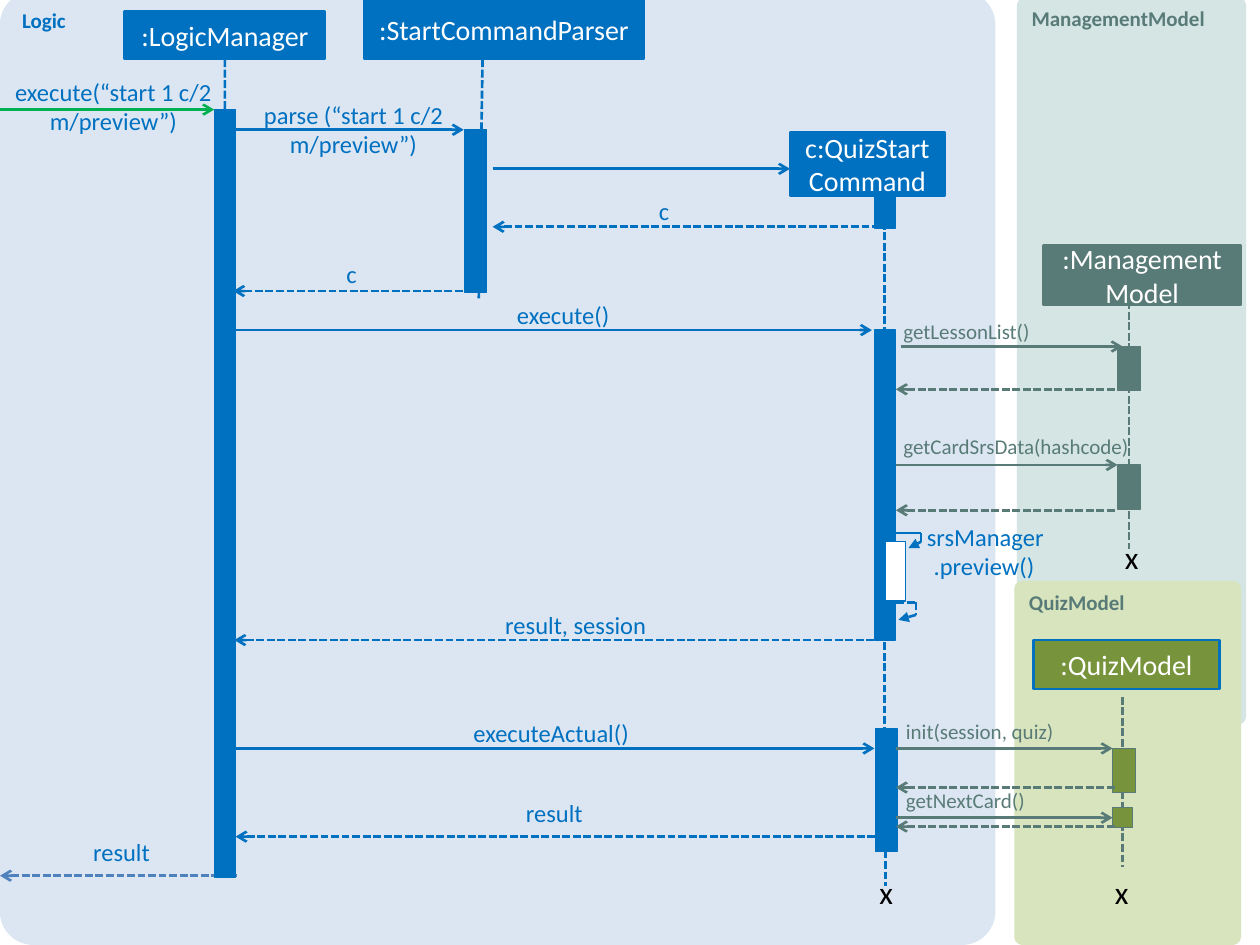
from typing import NamedTuple

from lxml import etree
from pptx import Presentation
from pptx.dml.color import RGBColor
from pptx.enum.dml import MSO_LINE
from pptx.enum.shapes import MSO_CONNECTOR, MSO_SHAPE
from pptx.enum.text import MSO_ANCHOR, PP_ALIGN
from pptx.oxml.ns import qn
from pptx.util import Cm, Length, Pt

RECT, ROUNDED = MSO_SHAPE.RECTANGLE, MSO_SHAPE.ROUNDED_RECTANGLE
STRAIGHT, DASH = MSO_CONNECTOR.STRAIGHT, MSO_LINE.SQUARE_DOT
LEFT, CENTER = PP_ALIGN.LEFT, PP_ALIGN.CENTER
TOP, MIDDLE = MSO_ANCHOR.TOP, MSO_ANCHOR.MIDDLE
LEFT_SIDE, BOTTOM_SIDE = 1, 2

BLUE = RGBColor(0x00, 0x70, 0xC0)
RETURN_BLUE = RGBColor(0x4F, 0x81, 0xBD)
CALL_GREEN = RGBColor(0x00, 0xB0, 0x50)
TEAL = RGBColor(0x59, 0x7B, 0x78)
OLIVE = RGBColor(0x77, 0x93, 0x3C)
PALE_BLUE = RGBColor(0xDC, 0xE6, 0xF2)
PALE_TEAL = RGBColor(0xD4, 0xE5, 0xE4)
PALE_OLIVE = RGBColor(0xD7, 0xE4, 0xBD)
WHITE = RGBColor(0xFF, 0xFF, 0xFF)
BLACK = RGBColor(0x00, 0x00, 0x00)


class Box(NamedTuple):
    """A panel, participant or activation bar, in inches."""
    left: float
    top: float
    width: float
    height: float
    fill: RGBColor
    border: RGBColor | None = None
    text: str = ""


class Line(NamedTuple):
    x1: float
    y1: float
    x2: float
    y2: float
    color: RGBColor = BLUE


class Message(NamedTuple):
    """A horizontal arrow; a reply is dashed and points left."""
    left: float
    right: float
    y: float
    color: RGBColor = BLUE
    reply: bool = False


class Label(NamedTuple):
    left: float
    top: float
    width: float
    height: float
    text: str
    color: RGBColor = BLUE


PANELS = [
    Box(8.07, -0.02, 1.82, 5.77, PALE_TEAL, text="ManagementModel"),
    Box(0, -0.07, 7.9, 7.57, PALE_BLUE, text="Logic"),
    Box(8.05, 4.61, 1.8, 2.89, PALE_OLIVE, text="QuizModel"),
]
LOGIC_LIFELINE = Line(1.78, 0.47, 1.78, 5.16)
LIFELINES = [
    Line(3.83, 0.47, 3.8, 2.38), Line(7.02, 1.51, 7.02, 5.85),
    Line(7.03, 6.5, 7.03, 7.03), Line(8.96, 2.39, 8.96, 4.36, TEAL),
    Line(8.91, 5.53, 8.91, 6.88, TEAL),
]
ACTIVATIONS = [
    Box(1.7, 0.87, 0.17, 6.09, BLUE, BLUE), Box(3.69, 1.03, 0.17, 1.29, BLUE, BLUE),
    Box(6.94, 1.51, 0.17, 0.3, BLUE, BLUE), Box(6.94, 2.62, 0.17, 2.46, BLUE, BLUE),
    Box(6.95, 5.78, 0.17, 0.98, BLUE, BLUE), Box(8.87, 2.75, 0.18, 0.35, TEAL, TEAL),
    Box(8.87, 3.69, 0.18, 0.35, TEAL, TEAL), Box(8.83, 5.94, 0.18, 0.35, OLIVE, TEAL),
]
NEXT_CARD_ACTIVATION = Box(8.83, 6.41, 0.16, 0.16, OLIVE, TEAL)
PREVIEW_ACTIVATION = Box(7.03, 4.3, 0.16, 0.47, WHITE, BLUE)
LOGIC_MANAGER = Box(0.99, 0.09, 1.59, 0.38, BLUE, BLUE, ":LogicManager")
PARTICIPANTS = [
    Box(2.89, 0, 2.22, 0.47, BLUE, BLUE, ":StartCommandParser"),
    Box(6.27, 1.05, 1.23, 0.5, BLUE, BLUE, "c:QuizStartCommand"),
    Box(8.28, 1.95, 1.57, 0.47, TEAL, TEAL, ":ManagementModel"),
    Box(8.2, 5.08, 1.48, 0.39, OLIVE, BLUE, ":QuizModel"),
]
FINAL_REPLY = Message(0, 1.88, 6.95, RETURN_BLUE, True)
NEXT_CARD_CALL = Message(7.11, 8.83, 6.49, TEAL)
MESSAGES = [
    Message(0, 1.7, 0.87, CALL_GREEN), Message(1.87, 3.68, 1.03),
    Message(3.91, 6.27, 1.34), Message(3.91, 6.99, 1.8, reply=True),
    Message(1.85, 3.73, 2.31, reply=True), Message(1.85, 6.92, 2.62),
    Message(7.15, 8.91, 2.75, TEAL), Message(7.11, 8.85, 3.09, TEAL, True),
    Message(7.11, 8.87, 3.69, TEAL), Message(7.11, 8.86, 4.05, TEAL, True),
    Message(1.86, 6.94, 5.08, reply=True), Message(1.87, 6.94, 5.94),
    Message(7.11, 8.83, 5.94, TEAL), Message(7.11, 8.86, 6.25, TEAL, True),
    Message(7.11, 8.86, 6.56, TEAL, True), Message(1.87, 6.95, 6.64, reply=True),
]
LOGIC_LABELS = [
    Label(0.12, 0.61, 1.56, 0.47, "execute(“start 1 c/2 m/preview”)"),
    Label(2.06, 0.79, 1.49, 0.47, "parse (“start 1 c/2 m/preview”)"),
    Label(4.84, 1.56, 0.86, 0.24, "c"), Label(2.36, 2.06, 0.86, 0.24, "c"),
    Label(4, 2.38, 0.94, 0.24, "execute()"),
    Label(7.34, 4.14, 0.94, 0.47, "srsManager.preview()"),
    Label(3.52, 4.84, 2.1, 0.24, "result, session"),
    Label(3.75, 5.7, 1.25, 0.24, "executeActual()"),
    Label(4.06, 6.33, 0.68, 0.24, "result"), Label(0.55, 6.64, 0.83, 0.24, "result"),
]
MODEL_LABELS = [
    Label(7.17, 2.53, 1.46, 0.2, "getLessonList()", TEAL),
    Label(7.17, 3.44, 1.82, 0.2, "getCardSrsData(hashcode)", TEAL),
    Label(7.19, 5.7, 1.46, 0.2, "init(session, quiz)", TEAL),
    Label(7.19, 6.25, 1.46, 0.2, "getNextCard()", TEAL),
]
LIFELINE_ENDS = [Label(x, y, 0.31, 0.4, "x", BLACK)
                 for x, y in [(8.83, 4.22), (6.88, 6.88), (8.75, 6.88)]]
PREVIEW_CALL = [(7.11, 4.23), (7.31, 4.23), (7.31, 4.3), (7.21, 4.35)]
PREVIEW_REPLY = [(7.03, 4.78), (7.27, 4.78), (7.27, 4.88), (7.13, 4.92)]


def inches(value: float) -> Length:
    return Cm(value * 2.54)


def write(frame, text: str, size: int, color: RGBColor, align=LEFT, anchor=TOP, bold=False):
    frame.text = text
    frame.word_wrap = True
    frame.vertical_anchor = anchor
    paragraph = frame.paragraphs[0]
    paragraph.alignment = align
    font = paragraph.runs[0].font
    font.name, font.size, font.bold = "Calibri", Pt(size), bold
    font.color.rgb = color


def draw_box(shapes, box: Box, kind=RECT, border_width: float = 0.75):
    shape = shapes.add_shape(kind, *map(inches, box[:4]))
    shape.shadow.inherit = False
    shape.fill.solid()
    shape.fill.fore_color.rgb = box.fill
    if box.border is None:
        shape.line.fill.background()
    else:
        shape.line.color.rgb = box.border
        shape.line.width = Pt(border_width)
    return shape


def draw_panel(shapes, panel: Box):
    shape = draw_box(shapes, panel, ROUNDED)
    shape.adjustments[0] = 0.035
    write(shape.text_frame, panel.text, 12, BLUE if panel.text == "Logic" else TEAL, bold=True)


def draw_participant(shapes, participant: Box):
    shape = draw_box(shapes, participant, border_width=1.5)
    write(shape.text_frame, participant.text, 16, WHITE, CENTER, MIDDLE)
    return shape


def draw_line(shapes, line: Line, dashed=False, end: str = "", head: str = "arrow"):
    """end is headEnd or tailEnd, or empty for no arrowhead."""
    connector = shapes.add_connector(STRAIGHT, *map(inches, line[:4]))
    connector.line.color.rgb = line.color
    connector.line.width = Pt(1.5)
    if dashed:
        connector.line.dash_style = DASH
    properties = connector._element.spPr
    if end:
        etree.SubElement(properties.find(qn("a:ln")), qn(f"a:{end}"), type=head)
    etree.SubElement(properties, qn("a:effectLst"))
    return connector


def draw_message(shapes, message: Message):
    line = Line(message.left, message.y, message.right, message.y, message.color)
    return draw_line(shapes, line, message.reply, "headEnd" if message.reply else "tailEnd")


def draw_loop(shapes, points: list[tuple[float, float]], dashed: bool):
    for start, stop in zip(points, points[1:]):
        end = "tailEnd" if stop == points[-1] else ""
        draw_line(shapes, Line(*start, *stop), dashed, end, "triangle")


def draw_label(shapes, label: Label, size: int, align=LEFT, tight=True):
    frame = shapes.add_textbox(*map(inches, label[:4])).text_frame
    if tight:
        frame.margin_left = frame.margin_right = frame.margin_top = frame.margin_bottom = 0
    write(frame, label.text, size, label.color, align)


def main() -> None:
    deck = Presentation()
    deck.slide_width, deck.slide_height = inches(10), inches(7.5)
    shapes = deck.slides.add_slide(deck.slide_layouts[6]).shapes

    # Components and lifelines
    for panel in PANELS:
        draw_panel(shapes, panel)
    logic_lifeline = draw_line(shapes, LOGIC_LIFELINE, dashed=True)
    for lifeline in LIFELINES:
        draw_line(shapes, lifeline, dashed=True)
    draw_message(shapes, FINAL_REPLY)

    # Activation bars and participants
    for activation in ACTIVATIONS:
        draw_box(shapes, activation)
    next_card = draw_box(shapes, NEXT_CARD_ACTIVATION)
    logic_lifeline.begin_connect(draw_participant(shapes, LOGIC_MANAGER), BOTTOM_SIDE)
    for participant in PARTICIPANTS:
        draw_participant(shapes, participant)

    # Messages and the preview self-call
    for message in MESSAGES:
        draw_message(shapes, message)
    draw_message(shapes, NEXT_CARD_CALL).end_connect(next_card, LEFT_SIDE)
    draw_loop(shapes, PREVIEW_CALL, dashed=False)
    draw_box(shapes, PREVIEW_ACTIVATION)
    draw_loop(shapes, PREVIEW_REPLY, dashed=True)

    # Labels
    for label in LOGIC_LABELS:
        draw_label(shapes, label, 14, CENTER)
    for label in MODEL_LABELS:
        draw_label(shapes, label, 12)
    for label in LIFELINE_ENDS:
        draw_label(shapes, label, 18, tight=False)

    deck.save("out.pptx")


if __name__ == "__main__":
    main()
